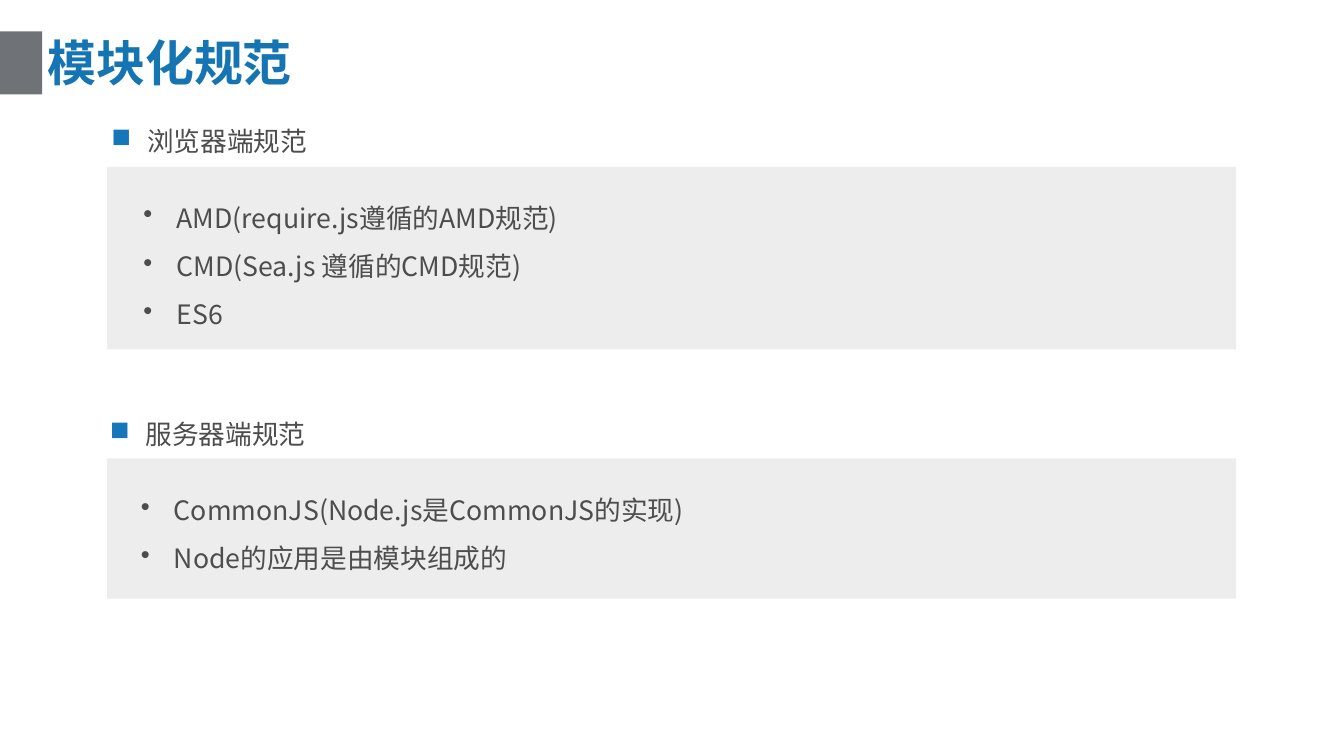
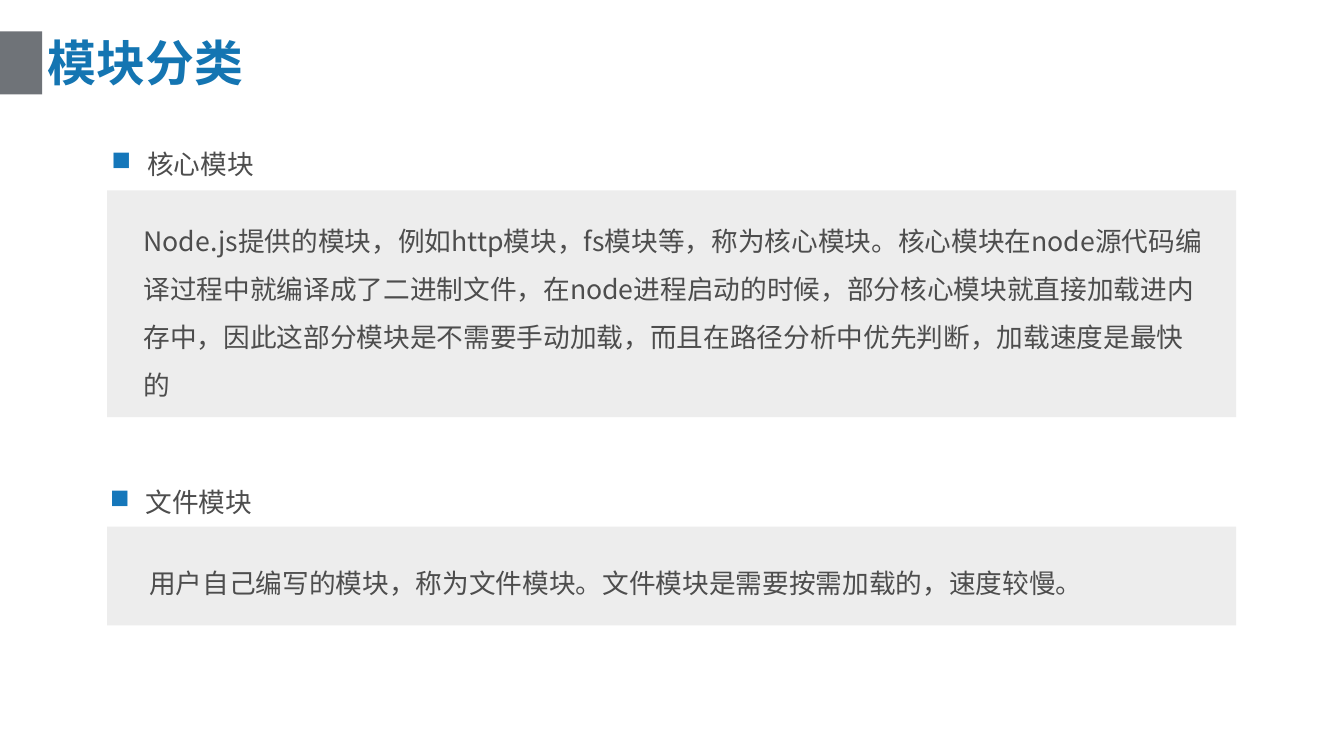
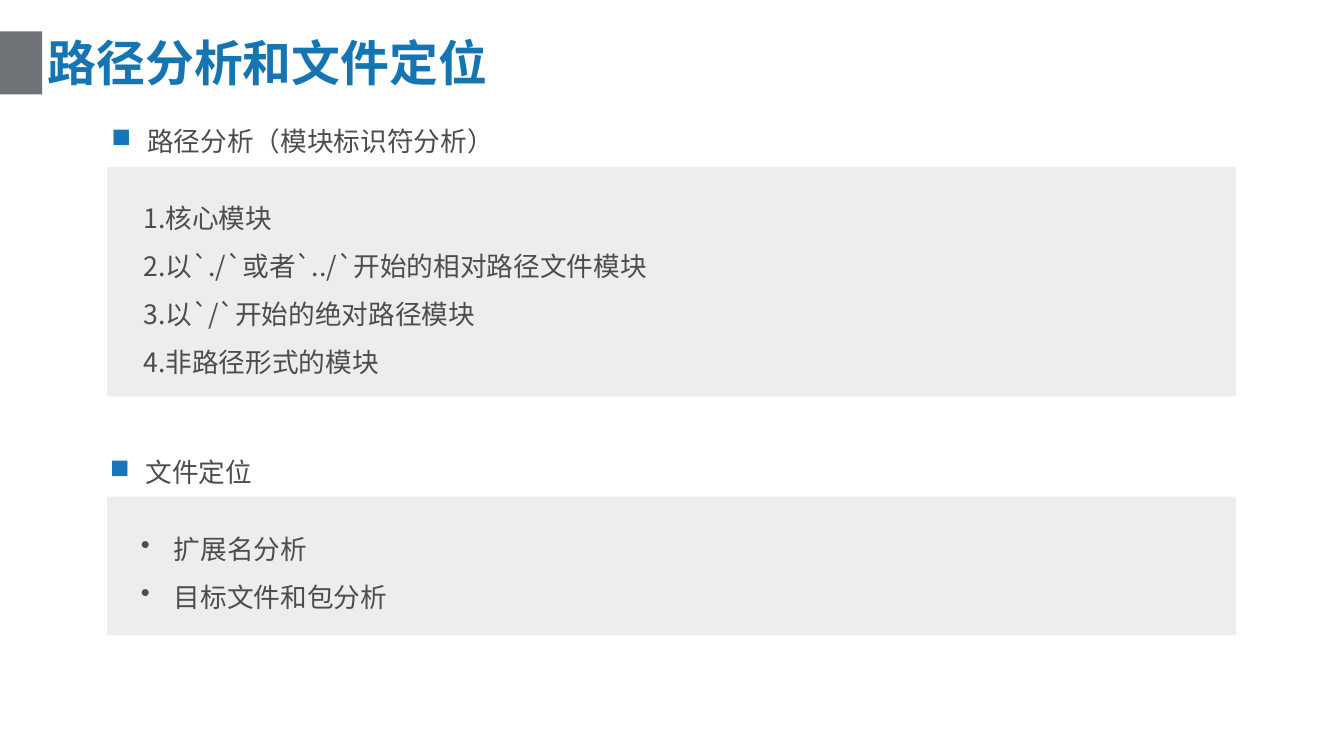
from dataclasses import dataclass

from lxml.etree import SubElement
from pptx import Presentation
from pptx.dml.color import RGBColor
from pptx.enum.shapes import MSO_SHAPE as Shape
from pptx.enum.text import MSO_ANCHOR as Anchor, MSO_AUTO_SIZE as AutoSize
from pptx.oxml.ns import qn
from pptx.util import Pt

PX = 9144  # EMU per px, 100 px to the inch
BLANK = 6


# Theme: colours, type and the frame shared by all slides
@dataclass(frozen=True)
class Theme:
    font: str = "Noto Sans CJK SC"
    title_size: int = 66
    text_size: int = 36
    spacing: float = 1.5
    title: str = "1475B2"
    marker: str = "1577BA"
    text: str = "4D4D4D"
    band: str = "6F7378"
    panel: str = "EDEDED"
    slide_size: tuple = (2520, 1417)
    band_area: tuple = (0, 59, 79, 118)
    title_area: tuple = (79, 57, 2362, 120)
    panel_left: int = 201
    panel_width: int = 2117


THEME = Theme()


# Bullets: character, indent and an optional colour
@dataclass(frozen=True)
class Bullet:
    char: str
    indent: int
    color: str = ""


SQUARE = Bullet("■", 67, THEME.marker)
DOT = Bullet("•", 62)


# Upper and lower sections differ slightly in their text boxes
@dataclass(frozen=True)
class Placement:
    heading_left: int
    heading_rise: int
    width: int
    inset: int
    body_drop: int
    body_left: int = 259


UPPER = Placement(199, 114, 2013, 10, 30)
LOWER = Placement(201, 111, 1937, 5, 32)
LOWER_SINGLE = Placement(201, 111, 1937, 5, 41, 275)


@dataclass(frozen=True)
class Section:
    heading: str
    lines: tuple
    top: int
    height: int
    placement: Placement
    bullet: Bullet | None = None


SLIDES = {
    "模块化规范": (
        Section("浏览器端规范",
                ("AMD(require.js遵循的AMD规范)", "CMD(Sea.js 遵循的CMD规范)", "ES6"),
                313, 342, UPPER, DOT),
        Section("服务器端规范",
                ("CommonJS(Node.js是CommonJS的实现)", "Node的应用是由模块组成的"),
                859, 263, LOWER, DOT),
    ),
    "模块分类": (
        Section("核心模块",
                ("Node.js提供的模块，例如http模块，fs模块等，称为核心模块。"
                 "核心模块在node源代码编译过程中就编译成了二进制文件，"
                 "在node进程启动的时候，部分核心模块就直接加载进内存中，"
                 "因此这部分模块是不需要手动加载，而且在路径分析中优先判断，"
                 "加载速度是最快的",),
                357, 425, UPPER),
        Section("文件模块",
                ("用户自己编写的模块，称为文件模块。文件模块是需要按需加载的，速度较慢。",),
                987, 185, LOWER_SINGLE),
    ),
    "路径分析和文件定位": (
        Section("路径分析（模块标识符分析）",
                ("1.核心模块", "2.以`./`或者`../`开始的相对路径文件模块",
                 "3.以`/`开始的绝对路径模块", "4.非路径形式的模块"),
                313, 430, UPPER),
        Section("文件定位", ("扩展名分析", "目标文件和包分析"), 931, 260, LOWER, DOT),
    ),
}


def emu(area):
    return [length * PX for length in area]


def set_format(target, values):
    for name, value in values.items():
        setattr(target, name, value)


# Elements
def add_block(page, area, color):
    block = page.shapes.add_shape(Shape.RECTANGLE, *emu(area))
    block.shadow.inherit = False
    block.fill.solid()
    block.fill.fore_color.rgb = RGBColor.from_string(color)
    block.line.fill.background()


def add_bullet(para, bullet):
    props = para._p.get_or_add_pPr()
    props.set("marL", str(bullet.indent * PX))
    props.set("indent", str(-bullet.indent * PX))
    if bullet.color:
        SubElement(SubElement(props, qn("a:buClr")), qn("a:srgbClr"), val=bullet.color)
    SubElement(props, qn("a:buChar"), char=bullet.char)


def add_span(para, text, size, color, bold=False):
    span = para.add_run()
    span.text = text
    span.font.color.rgb = RGBColor.from_string(color)
    set_format(span.font, {"name": THEME.font, "size": Pt(size), "bold": bold})
    SubElement(span.font._element, qn("a:ea"), typeface=THEME.font)


def add_frame(page, area, **values):
    frame = page.shapes.add_textbox(*emu(area)).text_frame
    set_format(frame, {"word_wrap": True, **values})
    return frame


def add_text(page, area, lines, inset, bullet=None):
    frame = add_frame(page, area, auto_size=AutoSize.SHAPE_TO_FIT_TEXT,
                      margin_left=inset * PX, margin_right=inset * PX)
    for index, line in enumerate(lines):
        para = frame.add_paragraph() if index else frame.paragraphs[0]
        para.line_spacing = THEME.spacing
        if bullet:
            add_bullet(para, bullet)
        add_span(para, line, THEME.text_size, THEME.text)


def add_title(page, title):
    add_block(page, THEME.band_area, THEME.band)
    frame = add_frame(page, THEME.title_area, vertical_anchor=Anchor.MIDDLE)
    add_span(frame.paragraphs[0], title, THEME.title_size, THEME.title, bold=True)


def add_section(page, section):
    place = section.placement
    add_block(page, (THEME.panel_left, section.top, THEME.panel_width, section.height),
              THEME.panel)
    add_text(page, (place.heading_left, section.top - place.heading_rise, place.width, 91),
             (section.heading,), place.inset, SQUARE)
    add_text(page, (place.body_left, section.top + place.body_drop, place.width,
                    section.height - 2 * place.body_drop),
             section.lines, place.inset, section.bullet)


def main():
    deck = Presentation()
    deck.slide_width, deck.slide_height = emu(THEME.slide_size)
    for title, sections in SLIDES.items():
        page = deck.slides.add_slide(deck.slide_layouts[BLANK])
        add_title(page, title)
        for section in sections:
            add_section(page, section)
    deck.save("out.pptx")


if __name__ == "__main__":
    main()
